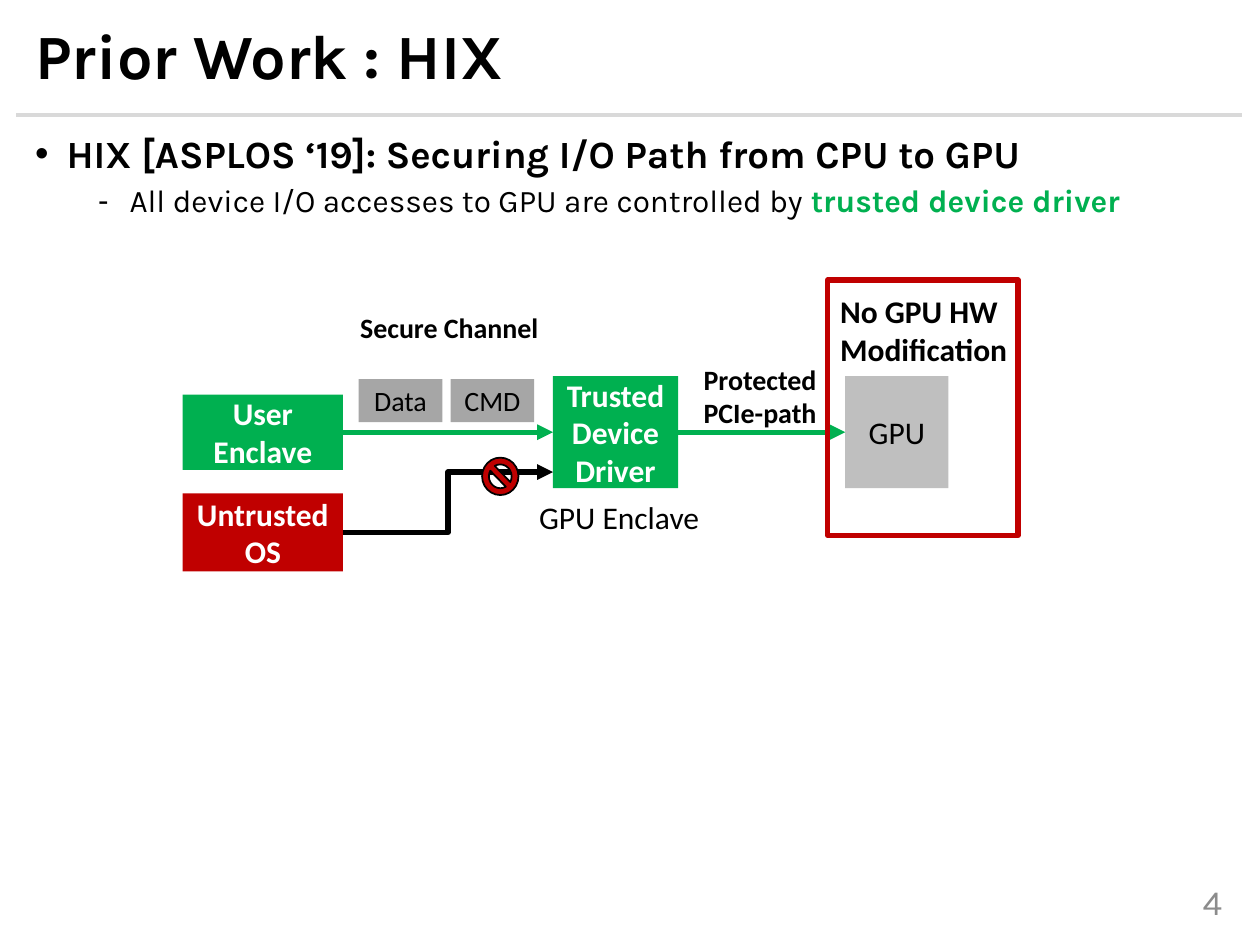
from dataclasses import dataclass
from typing import Optional

from lxml import etree
from pptx import Presentation
from pptx.dml.color import RGBColor
from pptx.enum.shapes import MSO_CONNECTOR, MSO_SHAPE
from pptx.enum.text import MSO_ANCHOR, PP_ALIGN
from pptx.oxml.ns import qn
from pptx.util import Pt

RECT = MSO_SHAPE.RECTANGLE
NO_SYMBOL = MSO_SHAPE.NO_SYMBOL
STRAIGHT = MSO_CONNECTOR.STRAIGHT
ELBOW = MSO_CONNECTOR.ELBOW
MIDDLE = MSO_ANCHOR.MIDDLE
TOP = MSO_ANCHOR.TOP
LEFT = PP_ALIGN.LEFT
CENTER = PP_ALIGN.CENTER
RIGHT = PP_ALIGN.RIGHT

BLACK = RGBColor(0x00, 0x00, 0x00)
WHITE = RGBColor(0xFF, 0xFF, 0xFF)
GREEN = RGBColor(0x00, 0xB0, 0x50)
RED = RGBColor(0xC0, 0x00, 0x00)
RULE_GREY = RGBColor(0xD9, 0xD9, 0xD9)
NUMBER_GREY = RGBColor(0x8C, 0x8C, 0x8C)
GPU_GREY = RGBColor(0xBF, 0xBF, 0xBF)
PACKET_GREY = RGBColor(0xA6, 0xA6, 0xA6)

HEADING_FONT = "Karla"
DIAGRAM_FONT = "Calibri"


@dataclass(frozen=True)
class Box:
    left: float
    top: float
    width: float
    height: float

    @property
    def lengths(self) -> tuple:
        return Pt(self.left), Pt(self.top), Pt(self.width), Pt(self.height)

    @property
    def right(self) -> float:
        return self.left + self.width


@dataclass(frozen=True)
class Style:
    size: float
    color: RGBColor = BLACK
    bold: bool = False
    font: str = DIAGRAM_FONT


@dataclass(frozen=True)
class Block:
    box: Box
    fill: Optional[RGBColor] = None
    text: str = ""
    style: Style = Style(18)
    outline: Optional[RGBColor] = None
    outline_width: float = 1
    kind: int = RECT


@dataclass(frozen=True)
class Label:
    box: Box
    text: str
    style: Style
    align: int = LEFT
    anchor: int = TOP
    line_spacing: float = 1.0


@dataclass(frozen=True)
class Link:
    start: tuple
    end: tuple
    color: RGBColor
    width: float = 3
    kind: int = STRAIGHT
    arrow: bool = True


@dataclass(frozen=True)
class Bullet:
    mark: str
    indent: float
    space_before: float
    runs: tuple


def format_run(run, style: Style) -> None:
    run.font.name = style.font
    run.font.size = Pt(style.size)
    run.font.bold = style.bold
    run.font.color.rgb = style.color


def write(frame, text: str, style: Style, align: int, anchor: int) -> None:
    frame.word_wrap = True
    frame.vertical_anchor = anchor
    frame.text = text
    for paragraph in frame.paragraphs:
        paragraph.alignment = align
        for run in paragraph.runs:
            format_run(run, style)


def draw_block(slide, block: Block) -> None:
    shape = slide.shapes.add_shape(block.kind, *block.box.lengths)
    shape.shadow.inherit = False
    if block.fill is None:
        shape.fill.background()
    else:
        shape.fill.solid()
        shape.fill.fore_color.rgb = block.fill
    if block.outline is None:
        shape.line.fill.background()
    else:
        shape.line.color.rgb = block.outline
        shape.line.width = Pt(block.outline_width)
    if block.text:
        write(shape.text_frame, block.text, block.style, CENTER, MIDDLE)


def draw_label(slide, label: Label) -> None:
    frame = slide.shapes.add_textbox(*label.box.lengths).text_frame
    write(frame, label.text, label.style, label.align, label.anchor)
    for paragraph in frame.paragraphs:
        paragraph.line_spacing = label.line_spacing


def draw_link(slide, link: Link) -> None:
    ends = [Pt(value) for value in (*link.start, *link.end)]
    connector = slide.shapes.add_connector(link.kind, *ends)
    connector.line.color.rgb = link.color
    connector.line.width = Pt(link.width)
    if link.arrow:
        line = connector.line._get_or_add_ln()
        etree.SubElement(line, qn("a:tailEnd"), type="triangle")
    etree.SubElement(connector._element.spPr, qn("a:effectLst"))


def draw_bullets(slide, box: Box, bullets: tuple) -> None:
    frame = slide.shapes.add_textbox(*box.lengths).text_frame
    frame.word_wrap = True
    for level, bullet in enumerate(bullets):
        paragraph = frame.add_paragraph() if level else frame.paragraphs[0]
        paragraph.level = level
        paragraph.line_spacing = 0.9
        paragraph.space_before = Pt(bullet.space_before)
        properties = paragraph._p.get_or_add_pPr()
        properties.set("marL", str(Pt(bullet.indent)))
        properties.set("indent", str(-Pt(18)))
        etree.SubElement(properties, qn("a:buFont"), typeface="Arial")
        etree.SubElement(properties, qn("a:buChar"), char=bullet.mark)
        for text, style in bullet.runs:
            run = paragraph.add_run()
            run.text = text
            format_run(run, style)


def main() -> None:
    deck = Presentation()
    deck.slide_width, deck.slide_height = Pt(720), Pt(540)
    slide = deck.slides.add_slide(deck.slide_layouts[6])

    title = Style(36, bold=True, font=HEADING_FONT)
    number = Style(20, NUMBER_GREY, font=HEADING_FONT)
    draw_label(slide, Label(Box(628, 500.5, 77.5, 28.75), "4", number, RIGHT, MIDDLE))
    draw_link(slide, Link((9.4, 65.8), (710, 65.8), RULE_GREY, 2.25, arrow=False))
    draw_bullets(slide, Box(13, 73.5, 700.5, 421), (
        Bullet("•", 18, 0, (
            ("HIX [ASPLOS ‘19]: Securing I/O Path from CPU to GPU",
             Style(22, bold=True, font=HEADING_FONT)),
        )),
        Bullet("-", 54, 5, (
            ("All device I/O accesses to GPU are controlled by ",
             Style(18, font=HEADING_FONT)),
            ("trusted device driver", Style(18, GREEN, True, HEADING_FONT)),
        )),
    ))
    draw_label(slide, Label(Box(13, 10, 700.5, 47.5), "Prior Work : HIX", title,
                            anchor=MIDDLE, line_spacing=0.9))

    driver = Box(316, 215, 71.5, 64)
    enclave = Box(104.4, 225.5, 91.6, 43)
    untrusted_os = Box(104.4, 282, 91.6, 44.5)
    gpu = Box(483, 215, 59, 64)
    white_bold = Style(18, WHITE, True)
    channel_y = 247
    for block in (
        Block(driver, GREEN, "Trusted\nDevice Driver", white_bold),
        Block(enclave, GREEN, "User\nEnclave", white_bold),
        Block(untrusted_os, RED, "Untrusted\nOS", white_bold),
        Block(gpu, GPU_GREY, "GPU"),
    ):
        draw_block(slide, block)

    draw_link(slide, Link((untrusted_os.right, 304.3), (driver.left, 269.8), BLACK, kind=ELBOW))
    draw_block(slide, Block(Box(275.5, 261.5, 20.8, 21.4), RED, outline=BLACK, kind=NO_SYMBOL))
    for source, target in ((driver, gpu), (enclave, driver)):
        draw_link(slide, Link((source.right, channel_y), (target.left, channel_y), GREEN))

    for column, packet in enumerate(("Data", "CMD")):
        box = Box(205 + 52.5 * column, 216.7, 47.8, 24.5)
        draw_block(slide, Block(box, PACKET_GREY, packet, Style(16)))

    for label in (
        Label(Box(198.7, 174.2, 142, 26.6), "Secure Channel", Style(16, bold=True)),
        Label(Box(395, 203.5, 108, 46), "Protected\nPCIe-path", Style(16, bold=True)),
        Label(Box(473, 163.5, 111.6, 51), "No GPU HW Modification", Style(18, bold=True)),
        Label(Box(301, 280.8, 112.3, 29), "GPU Enclave", Style(18)),
    ):
        draw_label(slide, label)
    draw_block(slide, Block(Box(473, 160, 108.7, 146), outline=RED, outline_width=3))

    deck.save("out.pptx")


if __name__ == "__main__":
    main()
